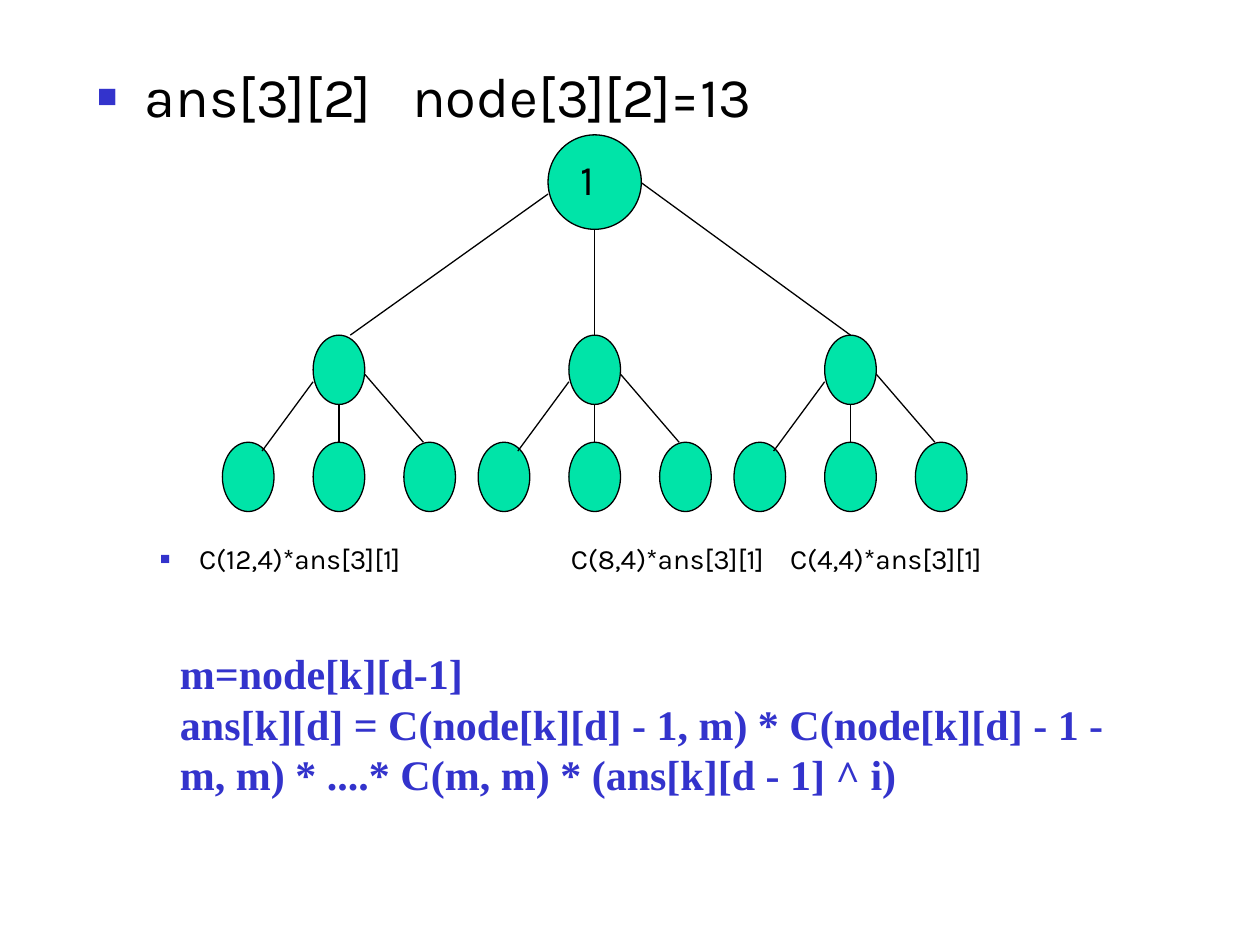
from dataclasses import dataclass

from lxml.etree import SubElement
from pptx import Presentation
from pptx.dml.color import RGBColor
from pptx.enum.shapes import MSO_CONNECTOR as Connector, MSO_SHAPE as Shape
from pptx.enum.text import MSO_ANCHOR as Anchor, MSO_AUTO_SIZE as AutoSize
from pptx.oxml.ns import qn
from pptx.util import Inches, Pt


@dataclass(frozen=True)
class Theme:
    ink: str = "000000"
    accent: str = "3333CC"
    node: str = "00E4A8"
    sans: str = "Karla"
    serif: str = "Times New Roman"
    heading: int = 32
    label: int = 24
    detail: int = 16
    stroke: float = 0.75


THEME = Theme()
ROOT_X = 4.72
BRANCH_GAP = 2.03
LEAF_GAP = 0.72
NODE_WIDTH, NODE_HEIGHT = 0.41, 0.55
ROOT_TOP, ROOT_WIDTH, ROOT_HEIGHT = 1.07, 0.74, 0.75
BRANCH_TOP, LEAF_TOP = 2.66, 3.51


def add_span(para, text, size, font, color, bold=False):
    span = para.add_run()
    span.text = text
    span.font.size = Pt(size)
    span.font.name = font
    span.font.bold = bold
    span.font.color.rgb = RGBColor.from_string(color)


def add_bullet(para, margin, hanging, tabs):
    props = para._p.get_or_add_pPr()
    props.set("marL", str(Inches(margin)))
    props.set("indent", str(-Inches(hanging)))
    color = SubElement(props, qn("a:buClr"))
    SubElement(color, qn("a:srgbClr"), val=THEME.accent)
    SubElement(props, qn("a:buSzPct"), val="60000")
    SubElement(props, qn("a:buChar"), char="■")
    stops = SubElement(props, qn("a:tabLst"))
    for tab in tabs:
        SubElement(stops, qn("a:tab"), pos=str(Inches(tab)), algn="l")


def fill_body(page):
    body = page.placeholders[1]
    body.left, body.top = Inches(0.67), Inches(0.44)
    body.width, body.height = Inches(8.5), Inches(5.08)
    frame = body.text_frame
    frame.auto_size = AutoSize.NONE
    frame.vertical_anchor = Anchor.TOP

    heading = frame.paragraphs[0]
    add_bullet(heading, 0.38, 0.38, [2.02])
    heading.space_before = Pt(0)
    add_span(heading, "ans[3][2]\tnode[3][2]=13", THEME.heading, THEME.sans, THEME.ink)

    detail = frame.add_paragraph()
    detail.level = 1
    add_bullet(detail, 0.81, 0.31, [1.92, 3.76])
    detail.space_before = Pt(236)
    terms = "\t".join(f"C({count},4)*ans[3][1]" for count in (12, 8, 4))
    add_span(detail, terms, THEME.detail, THEME.sans, THEME.ink)


def add_node(tree, center, top, width=NODE_WIDTH, height=NODE_HEIGHT):
    node = tree.shapes.add_shape(
        Shape.OVAL, Inches(center - width / 2), Inches(top), Inches(width), Inches(height)
    )
    node.shadow.inherit = False
    node.fill.solid()
    node.fill.fore_color.rgb = RGBColor.from_string(THEME.node)
    node.line.color.rgb = RGBColor.from_string(THEME.ink)
    node.line.width = Pt(THEME.stroke)


def add_edge(tree, start, end):
    edge = tree.shapes.add_connector(
        Connector.STRAIGHT, *(Inches(value) for value in (*start, *end))
    )
    edge.line.color.rgb = RGBColor.from_string(THEME.ink)
    edge.line.width = Pt(THEME.stroke)
    SubElement(edge._element.spPr, qn("a:effectLst"))


def add_branch(tree, center):
    add_node(tree, center, BRANCH_TOP)
    for step in (-1, 0, 1):
        add_node(tree, center + step * LEAF_GAP, LEAF_TOP)
    half = NODE_WIDTH / 2
    add_edge(tree, (center - half, 3.03), (center - 0.61, 3.58))
    add_edge(tree, (center, BRANCH_TOP + NODE_HEIGHT), (center, LEAF_TOP))
    add_edge(tree, (center + half, 2.97), (center + 0.67, LEAF_TOP))


def add_box(shapes, left, top, width, height):
    box = shapes.add_textbox(Inches(left), Inches(top), Inches(width), Inches(height))
    box.text_frame.word_wrap = True
    return box.text_frame


def add_tree(page):
    tree = page.shapes.add_group_shape()
    for step in (-1, 0, 1):
        add_branch(tree, ROOT_X + step * BRANCH_GAP)
    add_node(tree, ROOT_X, ROOT_TOP, ROOT_WIDTH, ROOT_HEIGHT)
    half = ROOT_WIDTH / 2
    add_edge(tree, (ROOT_X - half, 1.54), (2.78, BRANCH_TOP))
    add_edge(tree, (ROOT_X, ROOT_TOP + ROOT_HEIGHT), (ROOT_X, BRANCH_TOP))
    add_edge(tree, (ROOT_X + half, 1.45), (ROOT_X + BRANCH_GAP, BRANCH_TOP))
    frame = add_box(tree.shapes, 4.51, 1.17, 0.37, 0.5)
    add_span(frame.paragraphs[0], "1", THEME.label, THEME.sans, THEME.ink)


def add_formula(page, lines):
    frame = add_box(page.shapes, 1.33, 5.09, 7.69, 1.7)
    for index, line in enumerate(lines):
        para = frame.add_paragraph() if index else frame.paragraphs[0]
        para.line_spacing = Pt(28.9)
        add_span(para, line, THEME.label, THEME.serif, THEME.accent, bold=True)


def main():
    deck = Presentation()
    deck.slide_width, deck.slide_height = Inches(10), Inches(7.5)
    page = deck.slides.add_slide(deck.slide_layouts[1])
    title = page.shapes.title._element
    title.getparent().remove(title)
    fill_body(page)
    add_tree(page)
    add_formula(page, [
        "m=node[k][d-1]",
        "ans[k][d] = C(node[k][d] - 1, m) * C(node[k][d] - 1 - m, m) * ....* C(m, m) * (ans[k][d - 1] ^ i)",
    ])
    deck.save("out.pptx")


if __name__ == "__main__":
    main()
